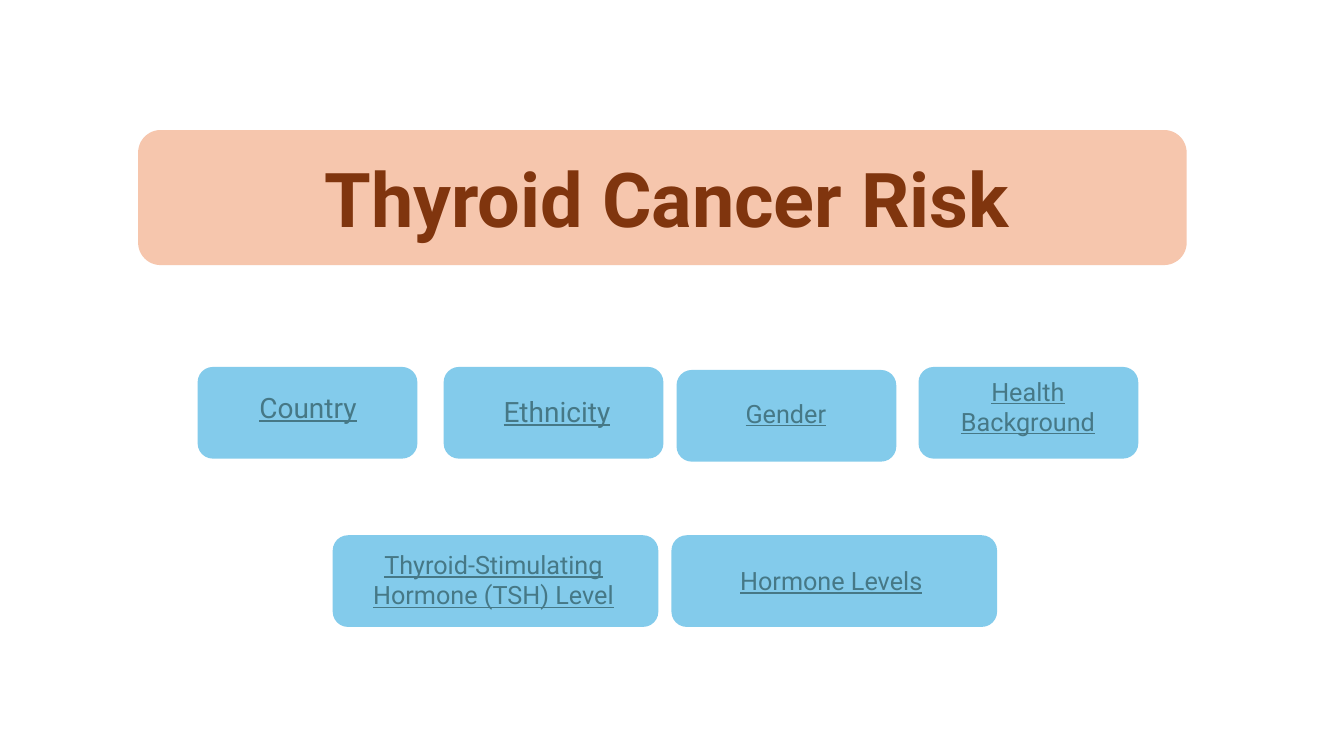
from pptx import Presentation
from pptx.dml.color import RGBColor
from pptx.enum.shapes import MSO_SHAPE
from pptx.enum.text import MSO_AUTO_SIZE, PP_ALIGN
from pptx.util import Inches, Pt

COLORS = {"banner": "F6C6AD", "title": "80350E", "button": "83CBEB", "label": "467886"}
FONT = "Roboto"
BUTTON_HEIGHT = 0.91
FACTOR_WIDTH, HORMONE_WIDTH = 2.18, 3.23

# Button left, top, width; label text, left, top, width, height, size
RISK_FACTORS = [
    ((1.96, 3.64, FACTOR_WIDTH), ("Country", 2.19, 3.82, 1.73, 0.45, 20)),
    ((4.4, 3.64, FACTOR_WIDTH), ("Ethnicity", 4.66, 3.86, 1.73, 0.45, 20)),
    ((6.71, 3.67, FACTOR_WIDTH), ("Gender", 6.93, 3.9, 1.73, 0.42, 18)),
    ((9.11, 3.64, FACTOR_WIDTH), ("Health Background", 9.25, 3.68, 1.89, 0.73, 18)),
    ((3.3, 5.31, HORMONE_WIDTH),
     ("Thyroid-Stimulating Hormone (TSH) Level", 3.56, 5.4, 2.67, 0.73, 18)),
    ((6.66, 5.31, HORMONE_WIDTH), ("Hormone Levels", 6.91, 5.56, 2.67, 0.42, 18)),
]


def add_panel(slide, left, top, width, height, color):
    panel = slide.shapes.add_shape(
        MSO_SHAPE.ROUNDED_RECTANGLE,
        Inches(left), Inches(top), Inches(width), Inches(height))
    panel.shadow.inherit = False
    panel.fill.solid()
    panel.fill.fore_color.rgb = RGBColor.from_string(COLORS[color])
    panel.line.fill.background()


def add_label(slide, text, left, top, width, height, size, color, align, **emphasis):
    """Add wrapped text; emphasis holds further font attributes such as bold."""
    frame = slide.shapes.add_textbox(
        Inches(left), Inches(top), Inches(width), Inches(height)).text_frame
    frame.word_wrap = True
    frame.auto_size = MSO_AUTO_SIZE.SHAPE_TO_FIT_TEXT
    paragraph = frame.paragraphs[0]
    paragraph.alignment = align
    run = paragraph.add_run()
    run.text = text
    font_format = {"name": FONT, "size": Pt(size), **emphasis}
    for attribute, value in font_format.items():
        setattr(run.font, attribute, value)
    run.font.color.rgb = RGBColor.from_string(COLORS[color])


def main():
    deck = Presentation()
    deck.slide_width, deck.slide_height = Inches(13.33), Inches(7.5)
    slide = deck.slides.add_slide(deck.slide_layouts[6])

    for (left, top, width), label in RISK_FACTORS:
        add_panel(slide, left, top, width, BUTTON_HEIGHT, "button")
        add_label(slide, *label, "label", PP_ALIGN.CENTER, underline=True)

    add_panel(slide, 1.37, 1.29, 10.4, 1.34, "banner")
    add_label(slide, "Thyroid Cancer Risk", 3.12, 1.46, 7.89, 1.01, 54,
              "title", PP_ALIGN.LEFT, bold=True)
    deck.save("out.pptx")


if __name__ == "__main__":
    main()
